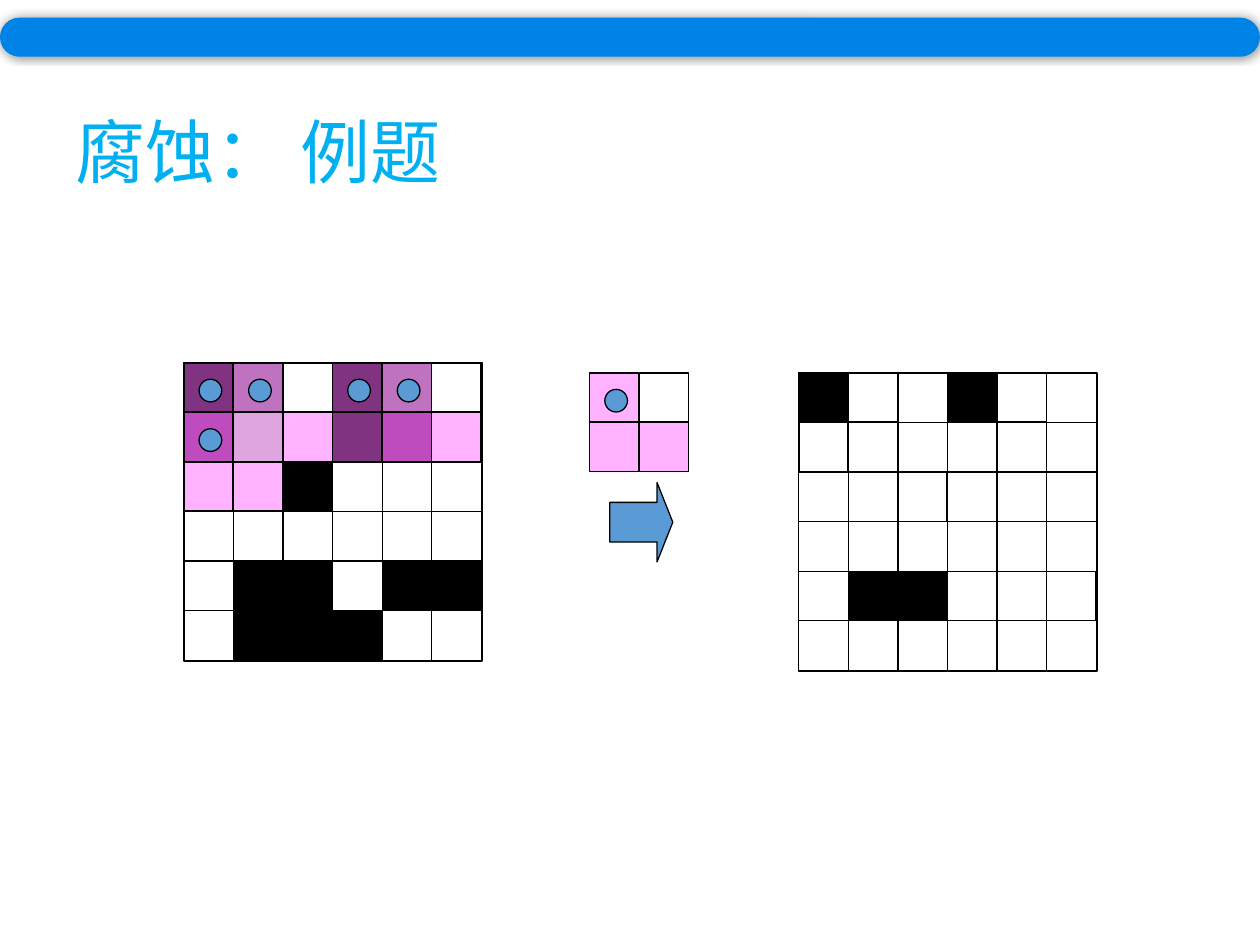
from dataclasses import dataclass
from typing import Optional

from lxml.etree import SubElement
from pptx import Presentation
from pptx.dml.color import RGBColor
from pptx.enum.shapes import MSO_SHAPE
from pptx.enum.text import MSO_ANCHOR
from pptx.oxml.ns import qn
from pptx.util import Inches, Pt

BLACK = RGBColor(0x00, 0x00, 0x00)
WHITE = RGBColor(0xFF, 0xFF, 0xFF)
PINK = RGBColor(0xFF, 0x66, 0xFF)
BLUE = RGBColor(0x5B, 0x9B, 0xD5)
BAR_BLUE = RGBColor(0x00, 0x83, 0xE6)
TITLE_BLUE = RGBColor(0x00, 0xB0, 0xF0)

STEP = 2.36 / 6
BOARD_CELL = 0.4
MARK_CELL = 0.39
DOT = 0.18


@dataclass(frozen=True)
class Grid:
    left: float
    top: float
    rows: tuple[str, ...]  # "#" is a filled cell, "." an empty one

    def at(self, row: int, col: int) -> tuple[float, float]:
        return self.left + col * STEP, self.top + row * STEP


@dataclass(frozen=True)
class Mark:
    row: int
    col: int
    color: RGBColor


INPUT = Grid(1.46, 2.88, ("##.##.", "##.##.", "..#...", "......", ".##.##", ".###.."))
OUTPUT = Grid(6.34, 2.96, ("......",) * 6)
KERNEL = ("#.", "##")

KERNEL_POSITIONS = ((0, 0), (0, 1), (0, 3), (1, 0), (0, 4))
RESULTS = (
    Mark(0, 0, BLACK), Mark(0, 3, BLACK), Mark(4, 1, BLACK), Mark(0, 1, WHITE),
    Mark(0, 4, WHITE), Mark(1, 0, WHITE), Mark(1, 1, WHITE), Mark(1, 3, WHITE),
    Mark(1, 4, WHITE), Mark(2, 2, WHITE), Mark(4, 4, WHITE), Mark(4, 2, BLACK),
    Mark(4, 5, WHITE),
)


def add_shape(shapes, kind: MSO_SHAPE, left: float, top: float, width: float,
              height: float, color: RGBColor, alpha: Optional[int] = None):
    """Add an outlined shape; alpha is its opacity in percent."""
    sp = shapes.add_shape(kind, Inches(left), Inches(top), Inches(width), Inches(height))
    sp.shadow.inherit = False
    sp.fill.solid()
    sp.fill.fore_color.rgb = color
    sp.line.color.rgb = BLACK
    sp.line.width = Pt(0.75)
    if alpha is not None:
        clr = sp._element.spPr.find(qn("a:solidFill"))[0]
        SubElement(clr, qn("a:alpha"), val=str(alpha * 1000))
    return sp


def add_grid(shapes, grid: Grid, size: float, filled: RGBColor,
             alpha: Optional[int] = None) -> None:
    for row, cells in enumerate(grid.rows):
        for col, cell in enumerate(cells):
            color = filled if cell == "#" else WHITE
            add_shape(shapes, MSO_SHAPE.RECTANGLE, *grid.at(row, col), size, size, color, alpha)


def add_board(s, grid: Grid) -> None:
    add_grid(s.shapes.add_group_shape().shapes, grid, BOARD_CELL, BLACK)


def add_kernel(s, left: float, top: float) -> None:
    """Add the translucent structuring element with a dot on its origin."""
    shapes = s.shapes.add_group_shape().shapes
    add_grid(shapes, Grid(left, top, KERNEL), MARK_CELL, PINK, 50)
    add_shape(shapes, MSO_SHAPE.OVAL, left + 0.12, top + 0.13, DOT, DOT, BLUE)


def add_title(s, text: str) -> None:
    tf = s.shapes.add_textbox(Inches(0.5), Inches(0.61), Inches(7.67), Inches(1.25)).text_frame
    tf.word_wrap = True
    tf.vertical_anchor = MSO_ANCHOR.MIDDLE
    p = tf.paragraphs[0]
    p.line_spacing = 0.9
    r = p.add_run()
    r.text = text
    for name, value in {"size": Pt(40), "name": "Noto Sans CJK SC"}.items():
        setattr(r.font, name, value)
    r.font.color.rgb = TITLE_BLUE
    SubElement(r._r.get_or_add_rPr(), qn("a:ea"), typeface="Noto Sans CJK SC")


def add_top_bar(s) -> None:
    sp = add_shape(s.shapes, MSO_SHAPE.ROUNDED_RECTANGLE, 0, 0.14, 10, 0.31, BAR_BLUE)
    sp.adjustments[0] = 0.5
    sp.line.fill.background()
    effects = sp._element.spPr.find(qn("a:effectLst"))
    shadow = SubElement(effects, qn("a:outerShdw"), blurRad=str(Pt(5)), dist="0", dir="0")
    clr = SubElement(shadow, qn("a:srgbClr"), val=str(BLACK))
    SubElement(clr, qn("a:alpha"), val="40000")


def main() -> None:
    prs = Presentation()
    prs.slide_width, prs.slide_height = Inches(10), Inches(7.5)
    s = prs.slides.add_slide(prs.slide_layouts[6])

    add_title(s, "腐蚀： 例题")
    arrow = add_shape(s.shapes, MSO_SHAPE.RIGHT_ARROW, 4.84, 3.83, 0.5, 0.63, BLUE)
    arrow.adjustments[0], arrow.adjustments[1] = 0.5, 0.25

    add_board(s, INPUT)
    add_board(s, OUTPUT)
    for row, col in KERNEL_POSITIONS:
        add_kernel(s, *INPUT.at(row, col))
    for mark in RESULTS:
        add_shape(s.shapes, MSO_SHAPE.RECTANGLE, *OUTPUT.at(mark.row, mark.col),
                  MARK_CELL, MARK_CELL, mark.color)
    add_kernel(s, 4.68, 2.96)
    add_top_bar(s)
    prs.save("out.pptx")


if __name__ == "__main__":
    main()
